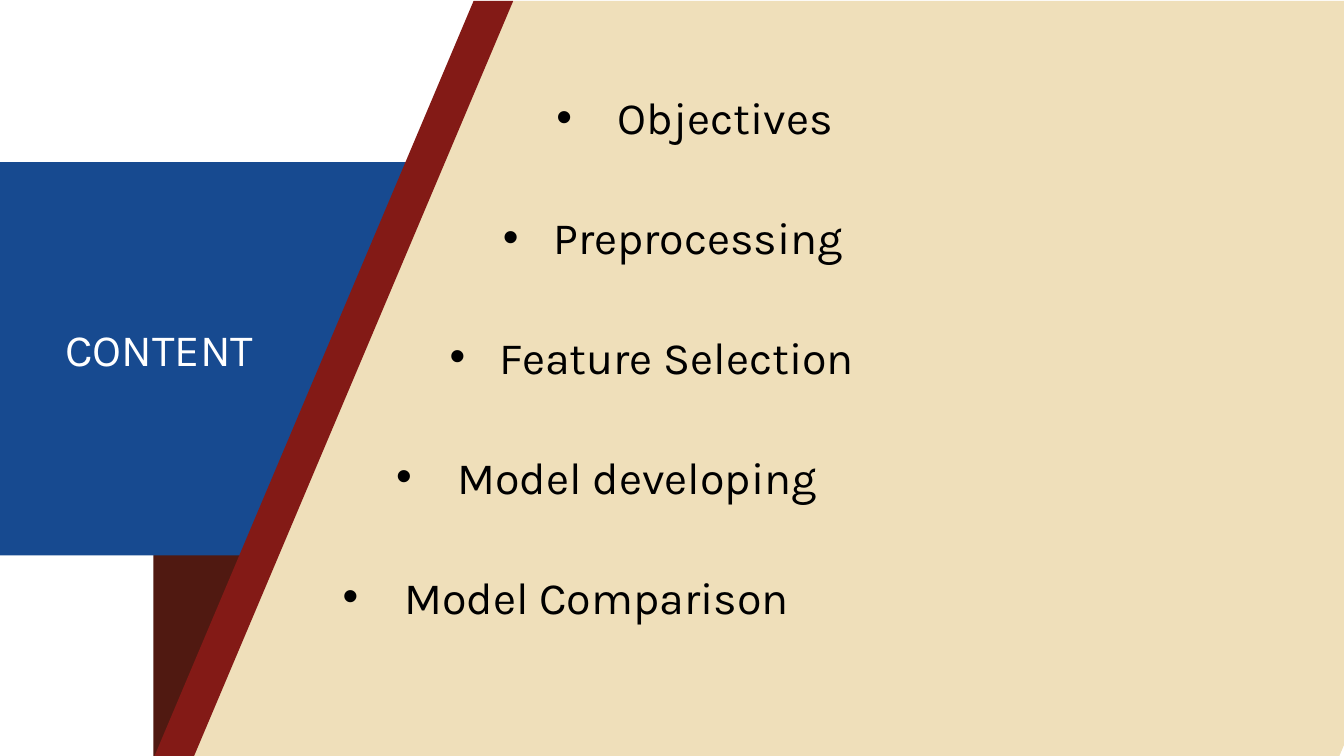
import pptx
import pptx.dml.color
import pptx.enum.shapes
import pptx.enum.text
import pptx.oxml
import pptx.oxml.ns
import pptx.util
from dataclasses import dataclass
from pptx.util import Inches


@dataclass(frozen=True)
class Theme:
    font: str = "Karla"
    size: int = 32
    white: str = "FFFFFF"
    black: str = "000000"
    sand: str = "EFDFBA"
    blue: str = "174A90"
    red: str = "831A16"
    dark_red: str = "501911"


THEME = Theme()

# Topic and its hanging indent in inches
TOPICS = [
    ("Objectives", 0.61),
    ("Preprocessing", 0.5),
    ("Feature Selection", 0.5),
    ("Model developing", 0.61),
    ("Model Comparison", 0.61),
]
FIRST_LEFT, FIRST_TOP = 5.42, 0.84
STEP_LEFT, STEP_DOWN = -0.53, 1.19


def rgb(color):
    return pptx.dml.color.RGBColor.from_string(color)


def paint(shape, color):
    shape.shadow.inherit = False
    shape.fill.solid()
    shape.fill.fore_color.rgb = rgb(color)
    shape.line.fill.background()


def add_polygon(slide, points, color):
    corners = [(Inches(x), Inches(y)) for x, y in points]
    builder = slide.shapes.build_freeform(*corners[0], scale=1.0)
    builder.add_line_segments(corners[1:], close=True)
    paint(builder.convert_to_shape(), color)


def add_parallelogram(slide, left, top, width, height, slant, color):
    shape = slide.shapes.add_shape(
        pptx.enum.shapes.MSO_SHAPE.PARALLELOGRAM,
        Inches(left), Inches(top), Inches(width), Inches(height))
    shape.adjustments[0] = slant
    paint(shape, color)


def add_bullet(paragraph, indent):
    properties = paragraph._p.get_or_add_pPr()
    properties.set("marL", str(int(Inches(indent))))
    properties.set("indent", str(-int(Inches(indent))))
    namespace = pptx.oxml.ns.nsdecls("a")
    for tag, attribute in (("buFont", 'typeface="Arial"'), ("buChar", 'char="•"')):
        properties.append(pptx.oxml.parse_xml(f"<a:{tag} {namespace} {attribute}/>"))


def add_text(slide, text, left, top, width, color, indent=None):
    box = slide.shapes.add_textbox(
        Inches(left), Inches(top), Inches(width), Inches(0.64))
    frame = box.text_frame
    frame.word_wrap = True
    frame.auto_size = pptx.enum.text.MSO_AUTO_SIZE.SHAPE_TO_FIT_TEXT
    paragraph = frame.paragraphs[0]
    paragraph.text = text
    if indent is not None:
        add_bullet(paragraph, indent)
    font = paragraph.runs[0].font
    formats = {"name": THEME.font, "size": pptx.util.Pt(THEME.size)}
    for name, value in formats.items():
        setattr(font, name, value)
    font.color.rgb = rgb(color)


def main():
    presentation = pptx.Presentation()
    presentation.slide_width = Inches(13.33)
    presentation.slide_height = Inches(7.5)
    slide = presentation.slides.add_slide(presentation.slide_layouts[6])

    # Slanted panels, from back to front
    add_polygon(slide, [(1.52, 4.94), (2.94, 4.94), (1.89, 7.54), (1.52, 7.5)],
                THEME.dark_red)
    add_parallelogram(slide, 1.69, 0.01, 14.74, 7.54, 0.42, THEME.sand)
    add_polygon(slide, [(0, 5.51), (2.74, 5.51), (4.13, 1.73), (4.13, 1.61), (0, 1.61)],
                THEME.blue)
    add_parallelogram(slide, 1.52, 0.01, 3.57, 7.52, 0.89, THEME.red)

    # Heading
    add_text(slide, "CONTENT", 0.55, 3.14, 2.27, THEME.white)

    # Topics stepping down along the slant
    for row, (topic, indent) in enumerate(TOPICS):
        add_text(slide, topic, FIRST_LEFT + row * STEP_LEFT,
                 FIRST_TOP + row * STEP_DOWN, 7.59, THEME.black, indent)

    presentation.save("out.pptx")


if __name__ == "__main__":
    main()
